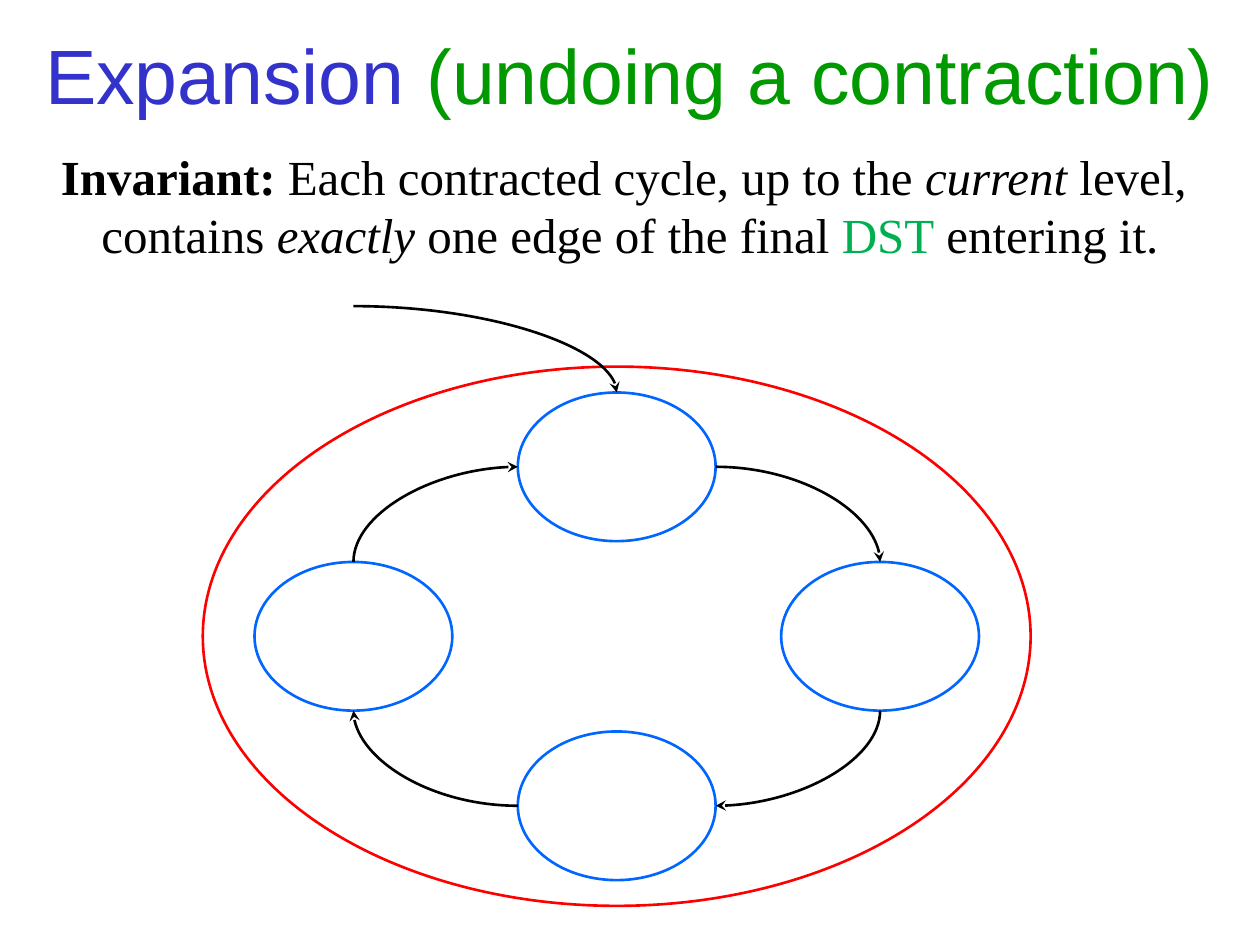
import pptx
import pptx.dml.color
import pptx.enum.shapes
import pptx.enum.text
import pptx.oxml
import pptx.oxml.ns
import pptx.util
from pptx.util import Inches

COLORS = {
    "title": "3333CC",
    "subtitle": "009900",
    "text": "000000",
    "tree": "00B050",
    "contracted": "FF0000",
    "vertex": "0066FF",
    "edge": "000000",
}
QUARTER_TURN = 90 * 60000
TITLE_ONLY = 5


def rgb(name):
    return pptx.dml.color.RGBColor.from_string(COLORS[name])


def add_text(paragraph, text, *, font, size, color="text", bold=False, italic=False):
    run = paragraph.add_run()
    run.text = text
    run.font.name = font
    run.font.size = pptx.util.Pt(size)
    run.font.color.rgb = rgb(color)
    run.font.bold = bold
    run.font.italic = italic


def prepare_paragraph(shape):
    frame = shape.text_frame
    frame.word_wrap = True
    frame.auto_size = pptx.enum.text.MSO_AUTO_SIZE.NONE
    frame.vertical_anchor = pptx.enum.text.MSO_ANCHOR.TOP
    paragraph = frame.paragraphs[0]
    paragraph.alignment = pptx.enum.text.PP_ALIGN.CENTER
    return paragraph


def place_title(slide, left, top, width, height):
    title = slide.shapes.title
    title.left, title.top = Inches(left), Inches(top)
    title.width, title.height = Inches(width), Inches(height)
    heading = prepare_paragraph(title)
    add_text(heading, "Expansion", font="Arial", size=44, color="title")
    add_text(heading, " (undoing a contraction)", font="Arial", size=44, color="subtitle")


def place_invariant(slide, left, top, width, height):
    box = slide.shapes.add_textbox(
        Inches(left), Inches(top), Inches(width), Inches(height))
    invariant = prepare_paragraph(box)
    lines = [
        [("Invariant:", {"bold": True}),
         (" Each contracted cycle, up to the ", {}),
         ("current", {"italic": True}),
         (" level, ", {})],
        [("contains ", {}),
         ("exactly", {"italic": True}),
         (" one edge of the final ", {}),
         ("DST", {"color": "tree"}),
         (" entering it.", {})],
    ]
    for number, line in enumerate(lines):
        if number:
            invariant.add_line_break()
        for text, style in line:
            add_text(invariant, text, font="Times New Roman", size=28, **style)


def add_oval(slide, center_x, center_y, width, height, color):
    oval = slide.shapes.add_shape(
        pptx.enum.shapes.MSO_SHAPE.OVAL,
        Inches(center_x - width / 2), Inches(center_y - height / 2),
        Inches(width), Inches(height))
    oval.shadow.inherit = False
    oval.fill.background()
    oval.line.color.rgb = rgb(color)
    oval.line.width = pptx.util.Pt(1.5)


def add_edge(slide, start, end, quarter_turns=0):
    """Draw a clockwise quarter bend; its first heading is right, turned clockwise."""
    width, height = abs(end[0] - start[0]), abs(end[1] - start[1])
    if quarter_turns % 2:
        width, height = height, width
    left = (start[0] + end[0] - width) / 2
    top = (start[1] + end[1] - height) / 2
    edge = slide.shapes.add_connector(
        pptx.enum.shapes.MSO_CONNECTOR.CURVE,
        Inches(left), Inches(top), Inches(left + width), Inches(top + height))
    edge.line.color.rgb = rgb("edge")
    edge.line.width = pptx.util.Pt(1.5)

    properties = edge._element.spPr
    qn = pptx.oxml.ns.qn
    properties.find(qn("a:xfrm")).set("rot", str(quarter_turns * QUARTER_TURN))
    properties.find(qn("a:prstGeom")).set("prst", "curvedConnector2")
    namespace = pptx.oxml.ns.nsdecls("a")
    properties.find(qn("a:ln")).append(
        pptx.oxml.parse_xml(f'<a:tailEnd {namespace} type="stealth"/>'))
    properties.append(pptx.oxml.parse_xml(f"<a:effectLst {namespace}/>"))


def place_cycle(slide, left, top, width, height):
    """Draw the contracted cycle, its four vertices and the edge entering it."""
    center_x, center_y = left + width / 2, top + height / 2
    reach_x, reach_y = 2.09, 1.345
    vertex_width, vertex_height = 1.57, 1.18
    half_width, half_height = vertex_width / 2, vertex_height / 2

    add_oval(slide, center_x, center_y, width, height, "contracted")
    for step_x, step_y in [(0, -1), (1, 0), (0, 1), (-1, 0)]:
        add_oval(slide, center_x + step_x * reach_x, center_y + step_y * reach_y,
                 vertex_width, vertex_height, "vertex")

    # Each pair of signs names the quadrant that the edge runs through.
    quadrants = [(1, -1), (1, 1), (-1, 1), (-1, -1)]
    for turn, (sign_x, sign_y) in enumerate(quadrants):
        upright = (center_x + sign_x * half_width, center_y + sign_y * reach_y)
        sideways = (center_x + sign_x * reach_x, center_y + sign_y * half_height)
        start, end = (sideways, upright) if turn % 2 else (upright, sideways)
        add_edge(slide, start, end, turn)

    top_vertex = (center_x, center_y - reach_y - half_height)
    add_edge(slide, (center_x - reach_x, top - 0.48), top_vertex)


def main():
    presentation = pptx.Presentation()
    presentation.slide_width = Inches(10)
    presentation.slide_height = Inches(7.5)
    slide = presentation.slides.add_slide(presentation.slide_layouts[TITLE_ONLY])
    place_title(slide, 0, 0.17, 10, 0.84)
    place_invariant(slide, 0, 1.11, 10, 1.04)
    place_cycle(slide, 1.61, 2.91, 6.57, 4.28)
    presentation.save("out.pptx")


if __name__ == "__main__":
    main()
